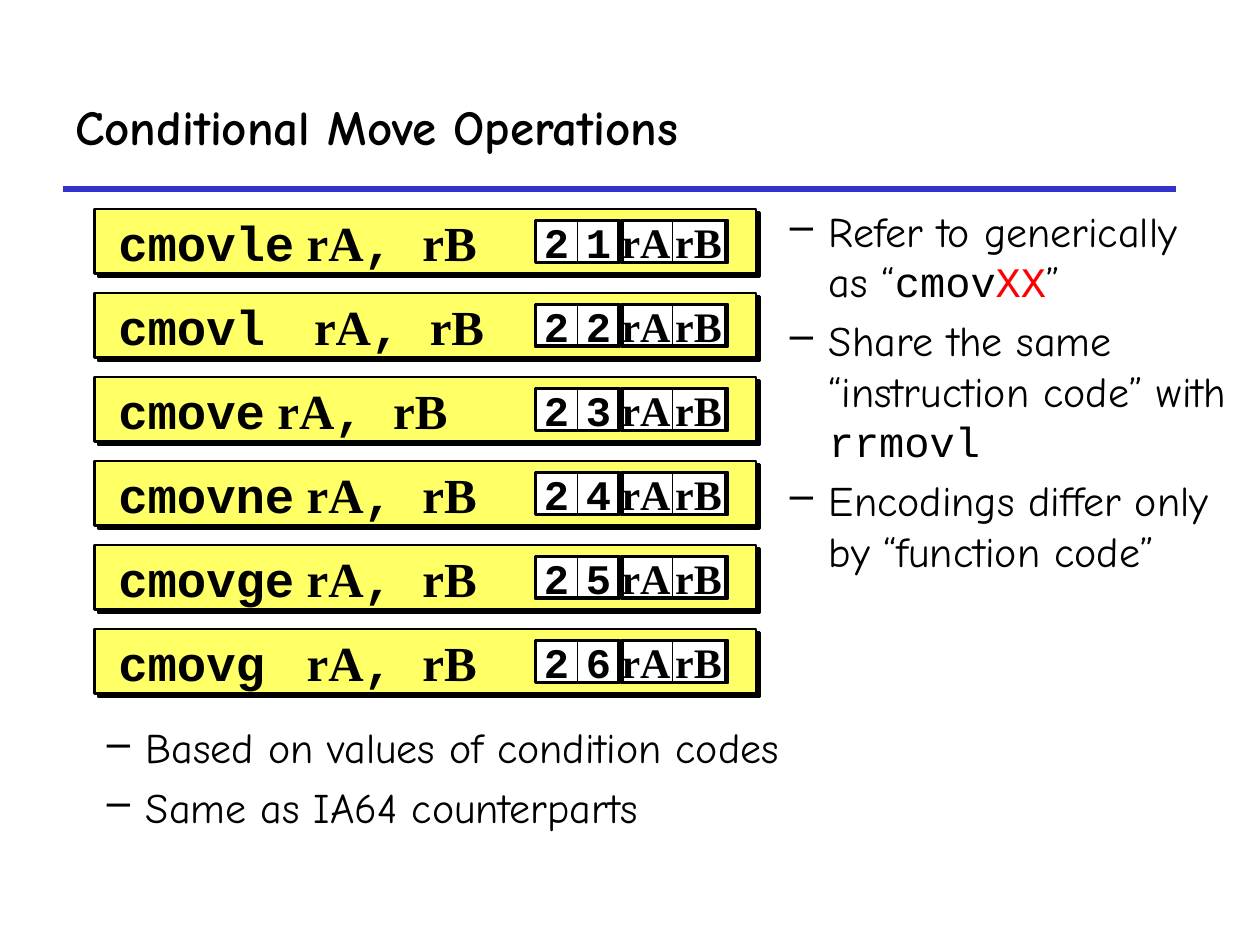
from dataclasses import dataclass

from lxml import etree
from pptx import Presentation
from pptx.dml.color import RGBColor
from pptx.enum.shapes import MSO_CONNECTOR, MSO_SHAPE
from pptx.enum.text import MSO_ANCHOR, PP_ALIGN
from pptx.oxml.ns import qn
from pptx.util import Inches, Pt

RECT = MSO_SHAPE.RECTANGLE
STRAIGHT = MSO_CONNECTOR.STRAIGHT
TOP, MIDDLE = MSO_ANCHOR.TOP, MSO_ANCHOR.MIDDLE
LEFT, CENTER = PP_ALIGN.LEFT, PP_ALIGN.CENTER


@dataclass(frozen=True)
class Theme:
    black: str = "000000"
    white: str = "FFFFFF"
    yellow: str = "FFFF66"
    blue: str = "3333CC"
    red: str = "FF0000"
    sans: str = "Comic Neue"
    mono: str = "Courier New"
    serif: str = "Times New Roman"
    title: int = 28
    code: int = 28
    body: int = 24


T = Theme()
ROW_TOP, ROW_STEP, CELL_H = 1.75, 2 / 3, 1 / 3

# Operation name, gap before the operands, function code
OPERATIONS = [
    ("cmovle", " ", "1"),
    ("cmovl", "    ", "2"),
    ("cmove", " ", "3"),
    ("cmovne", " ", "4"),
    ("cmovge", " ", "5"),
    ("cmovg ", " ", "6"),
]

# Each run is (text, font, colour)
NOTES = [
    [("Refer to generically as “", T.sans, T.black), ("cmov", T.mono, T.black),
     ("XX", T.mono, T.red), ("”", T.sans, T.black)],
    [("Share the same “instruction code” with ", T.sans, T.black),
     ("rrmovl", T.mono, T.black)],
    [("Encodings differ only by “function code”", T.sans, T.black)],
]
REMARKS = [
    [("Based on values of condition codes", T.sans, T.black)],
    [("Same as IA64 counterparts", T.sans, T.black)],
]


def set_frame(tf, anchor=TOP, wrap=True):
    for name, value in {"word_wrap": wrap, "vertical_anchor": anchor}.items():
        setattr(tf, name, value)


def add_runs(p, runs, size, bold=False):
    for text, font, color in runs:
        r = p.add_run()
        r.text = text
        for name, value in {"name": font, "size": Pt(size), "bold": bold}.items():
            setattr(r.font, name, value)
        r.font.color.rgb = RGBColor.from_string(color)


def add_text(shapes, box, runs, size):
    tf = shapes.add_textbox(*map(Inches, box)).text_frame
    set_frame(tf, MIDDLE)
    add_runs(tf.paragraphs[0], runs, size, bold=True)


def add_bullets(shapes, box, items):
    tf = shapes.add_textbox(*map(Inches, box)).text_frame
    set_frame(tf)
    for i, runs in enumerate(items):
        p = tf.add_paragraph() if i else tf.paragraphs[0]
        if i:
            p.space_before = Pt(5)
        pPr = p._p.get_or_add_pPr()
        pPr.set("marL", str(Inches(0.31)))
        pPr.set("indent", str(Inches(-0.31)))
        etree.SubElement(pPr, qn("a:buChar"), char="–")
        p.alignment = LEFT
        add_runs(p, runs, T.body)


def add_rect(shapes, box, width, fill=None):
    sp = shapes.add_shape(RECT, *map(Inches, box))
    sp.shadow.inherit = False
    if fill:
        sp.fill.solid()
        sp.fill.fore_color.rgb = RGBColor.from_string(fill)
    else:
        sp.fill.background()
    sp.line.color.rgb = RGBColor.from_string(T.black)
    sp.line.width = Pt(width)
    return sp


def add_drop_shadow(sp):
    effects = sp._element.spPr.find(qn("a:effectLst"))
    shadow = etree.SubElement(effects, qn("a:outerShdw"), dist=str(Pt(2.8)),
                              dir="2700000", algn="ctr", rotWithShape="0")
    etree.SubElement(shadow, qn("a:srgbClr"), val=T.black)


def add_cells(shapes, left, top, width, labels, font, frame_left):
    """A run of byte fields with a heavy frame around them."""
    for i, label in enumerate(labels):
        sp = add_rect(shapes, (left + i * width, top, width, CELL_H), 0.5, T.white)
        set_frame(sp.text_frame, MIDDLE, wrap=False)
        p = sp.text_frame.paragraphs[0]
        p.alignment = CENTER
        add_runs(p, [(label, font, T.black)], T.body, bold=True)
    add_rect(shapes, (frame_left, top, width * len(labels), CELL_H), 2.25)


def add_operation(s, top, name, gap, code):
    shapes = s.shapes.add_group_shape().shapes
    add_drop_shadow(add_rect(shapes, (0.75, top - 0.09, 5.25, 0.51), 1.5, T.yellow))
    runs = [(name, T.mono, T.black), (gap + "rA", T.serif, T.black),
            (", ", T.mono, T.black), ("rB", T.serif, T.black)]
    # Wide enough to hold the longest instruction on one line
    add_text(shapes, (0.84, top, 3.35, CELL_H), runs, T.code)
    add_cells(shapes, 4.25, top, 1 / 3, ["2", code], T.mono, 4.25)
    add_cells(shapes, 4.92, top, 5 / 12, ["rA", "rB"], T.serif, 4.94)


def add_rule(s, left, right, y):
    line = s.shapes.add_connector(STRAIGHT, *map(Inches, (left, y, right, y)))
    line.line.color.rgb = RGBColor.from_string(T.blue)
    line.line.width = Pt(3)
    etree.SubElement(line._element.spPr, qn("a:effectLst"))


def main():
    prs = Presentation()
    prs.slide_width, prs.slide_height = Inches(10), Inches(7.5)
    s = prs.slides.add_slide(prs.slide_layouts[6])

    # Title and rule
    add_rule(s, 0.5, 9.33, 1.5)
    add_text(s.shapes, (0.5, 0.5, 8.83, 1),
             [("Conditional Move Operations", T.sans, T.black)], T.title)

    # Instruction encodings
    for i, operation in enumerate(OPERATIONS):
        add_operation(s, ROW_TOP + i * ROW_STEP, *operation)

    # Notes beside and below the encodings
    add_bullets(s.shapes, (6.17, 1.58, 3.67, 4), NOTES)
    add_bullets(s.shapes, (0.75, 5.68, 6, 0.99), REMARKS)

    prs.save("out.pptx")


if __name__ == "__main__":
    main()
